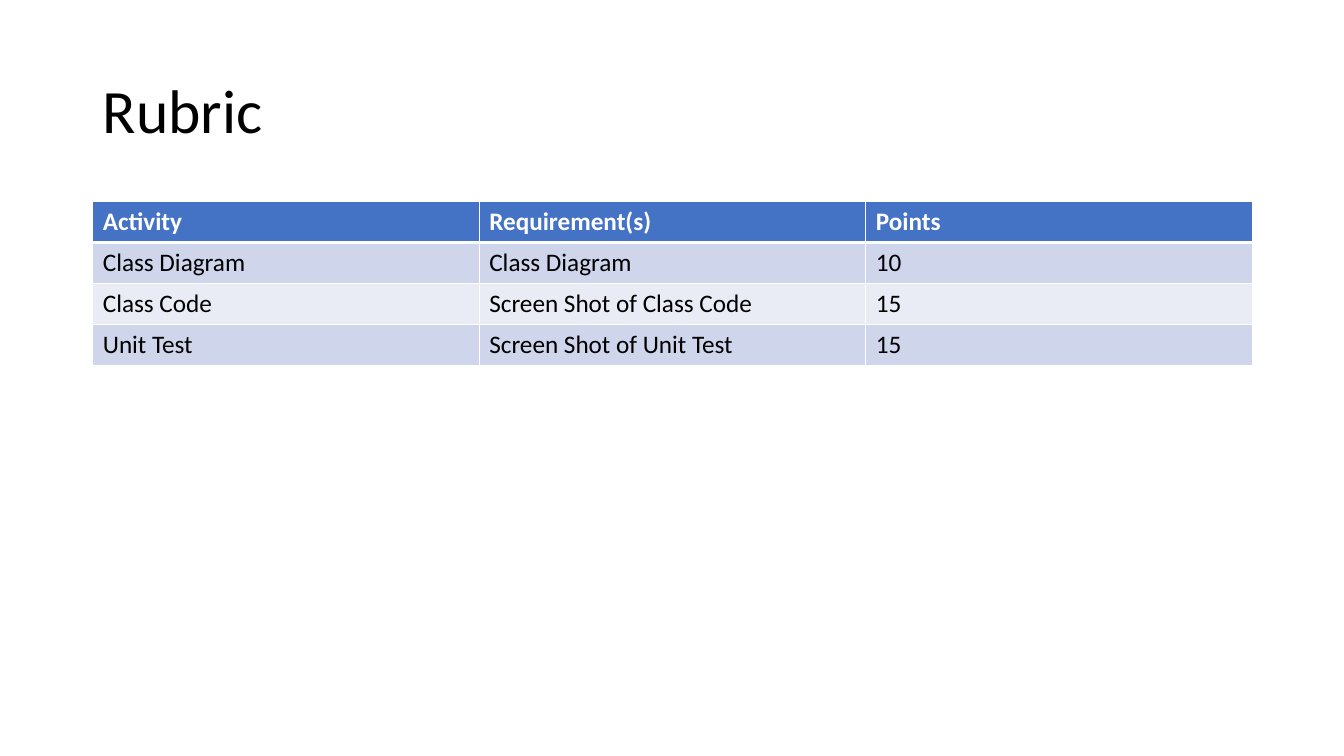
"""Build the Rubric slide: a title above a table of activities and points."""
from dataclasses import dataclass

from lxml import etree
from pptx import Presentation
from pptx.dml.color import RGBColor
from pptx.enum.text import MSO_ANCHOR, PP_ALIGN
from pptx.oxml.ns import qn
from pptx.util import Inches, Pt

MIDDLE = MSO_ANCHOR.MIDDLE
LEFT = PP_ALIGN.LEFT


@dataclass(frozen=True)
class Theme:
    font: str = "Calibri"
    title_size: int = 44
    table_size: int = 18
    text: str = "000000"
    header_text: str = "FFFFFF"
    header_fill: str = "4472C4"
    odd_fill: str = "CFD5EA"
    even_fill: str = "E9EBF5"
    border: str = "FFFFFF"
    thin: int = 1
    thick: int = 3


THEME = Theme()
RUBRIC = [
    ("Activity", "Requirement(s)", "Points"),
    ("Class Diagram", "Class Diagram", "10"),
    ("Class Code", "Screen Shot of Class Code", "15"),
    ("Unit Test", "Screen Shot of Unit Test", "15"),
]


def style_font(paragraph, size, color, bold=False):
    paragraph.font.name = THEME.font
    paragraph.font.size = Pt(size)
    paragraph.font.bold = bold
    paragraph.font.color.rgb = RGBColor.from_string(color)


def add_border(cell, side, width):
    properties = cell._tc.get_or_add_tcPr()
    line = etree.SubElement(properties, qn(f"a:ln{side}"), w=str(Pt(width)))
    fill = etree.SubElement(line, qn("a:solidFill"))
    etree.SubElement(fill, qn("a:srgbClr"), val=THEME.border)


presentation = Presentation()
presentation.slide_width = Inches(13.33)
presentation.slide_height = Inches(7.5)
slide = presentation.slides.add_slide(presentation.slide_layouts[5])

title = slide.shapes.title
title.left, title.top = Inches(0.92), Inches(0.4)
title.width, title.height = Inches(11.5), Inches(1.45)
title.text_frame.text = "Rubric"
title.text_frame.vertical_anchor = MIDDLE
heading = title.text_frame.paragraphs[0]
heading.alignment = LEFT
heading.line_spacing = 0.9
style_font(heading, THEME.title_size, THEME.text)

table = slide.shapes.add_table(
    len(RUBRIC), len(RUBRIC[0]), Inches(0.92), Inches(2), Inches(11.5), Inches(1.62)
).table

for row_index, row in enumerate(RUBRIC):
    is_header = row_index == 0
    if is_header:
        fill_color, text_color = THEME.header_fill, THEME.header_text
    else:
        fill_color = THEME.odd_fill if row_index % 2 else THEME.even_fill
        text_color = THEME.text
    for column_index, text in enumerate(row):
        cell = table.cell(row_index, column_index)
        cell.text = text
        style_font(cell.text_frame.paragraphs[0], THEME.table_size, text_color, is_header)
        for side in "LRTB":
            under_header = (row_index, side) in ((0, "B"), (1, "T"))
            add_border(cell, side, THEME.thick if under_header else THEME.thin)
        cell.fill.solid()
        cell.fill.fore_color.rgb = RGBColor.from_string(fill_color)

presentation.save("out.pptx")
